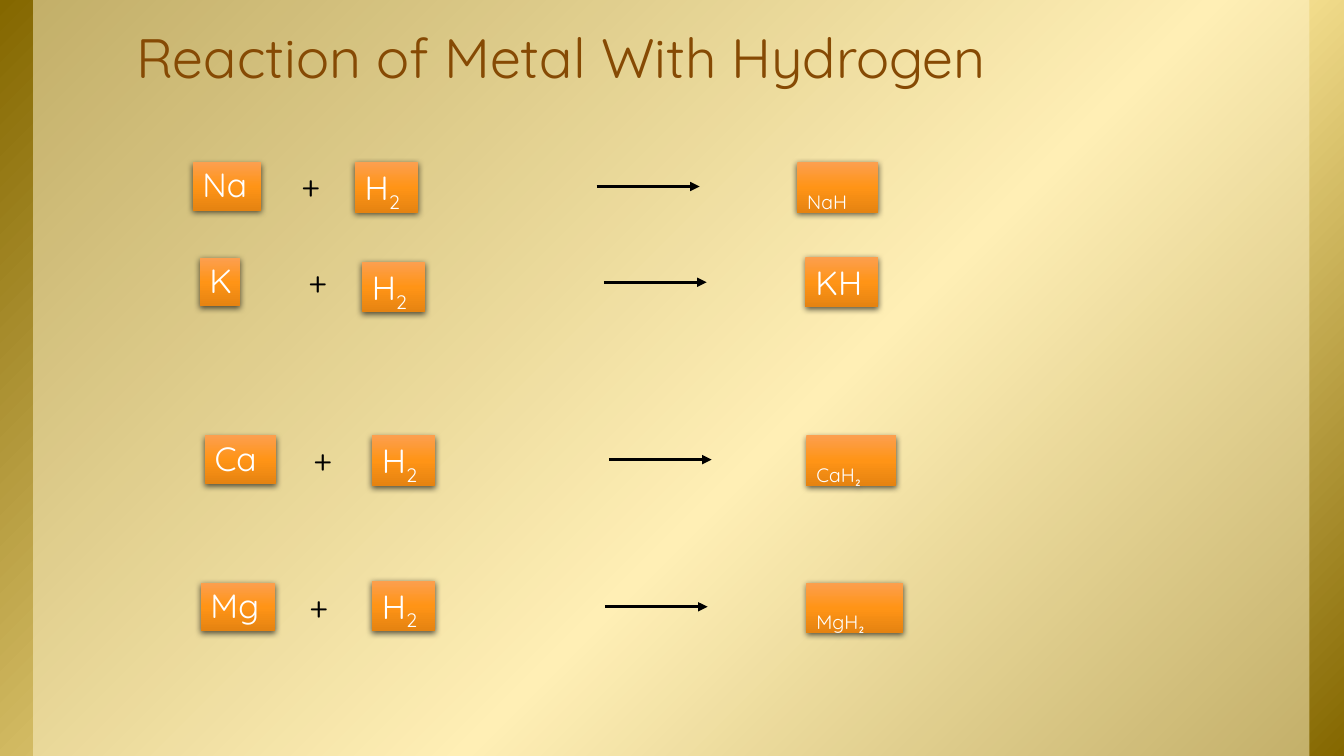
from dataclasses import dataclass

from lxml.etree import SubElement
from pptx import Presentation
from pptx.dml.color import RGBColor
from pptx.enum.shapes import MSO_CONNECTOR as Connector, MSO_SHAPE as Preset
from pptx.enum.text import MSO_ANCHOR as Anchor, MSO_AUTO_SIZE as AutoSize, PP_ALIGN as Align
from pptx.oxml.ns import qn
from pptx.util import Inches, Pt

BLACK = RGBColor(0x00, 0x00, 0x00)
WHITE = RGBColor(0xFF, 0xFF, 0xFF)
BROWN = RGBColor(0x86, 0x4A, 0x04)
CREAM = RGBColor(0xFF, 0xF4, 0xCE)
DARK_GOLD = RGBColor(0x84, 0x67, 0x00)
PALE_GOLD = RGBColor(0xFF, 0xEA, 0x9C)
LIGHT_ORANGE = RGBColor(0xFC, 0x9F, 0x4F)
ORANGE = RGBColor(0xFF, 0x94, 0x16)
DEEP_ORANGE = RGBColor(0xE5, 0x83, 0x11)

FONT = "Quicksand"
CELL = 0.1  # inches per grid column and row
COLUMNS, ROWS = 133.33, 75
BACKDROP_STOPS = ((0, DARK_GOLD), (58, PALE_GOLD), (100, DARK_GOLD))
TILE_STOPS = ((0, LIGHT_ORANGE), (50, ORANGE), (100, DEEP_ORANGE))
SUBSCRIPT = "-25000"

METAL_HEIGHT, TILE_HEIGHT = 4.8, 5
PLUS_OFFSET, PLUS_WIDTH = 9.8, 4.1
ARROW_OFFSET, ARROW_LENGTH = 40.1, 10.2
HYDROGEN_WIDTH = 6.3


@dataclass(frozen=True)
class Part:
    text: str
    lowered: bool = False


@dataclass(frozen=True)
class Box:
    """Place on the grid, in columns and rows."""
    left: float
    top: float
    width: float
    height: float

    def lengths(self) -> list:
        return [Inches(cells * CELL) for cells in (self.left, self.top, self.width, self.height)]


@dataclass(frozen=True)
class Reaction:
    metal: Part
    metal_box: Box
    hydrogen_box: Box
    product: Part
    product_box: Box


HYDROGEN = (Part("H"), Part("2", lowered=True))
REACTIONS = (
    Reaction(Part("Na"), Box(19.1, 16.1, 6.8, METAL_HEIGHT),
             Box(35.2, 16.1, HYDROGEN_WIDTH, TILE_HEIGHT),
             Part("NaH", lowered=True), Box(79.1, 16.1, 8, TILE_HEIGHT)),
    Reaction(Part("K"), Box(19.8, 25.6, 4, METAL_HEIGHT),
             Box(35.9, 26, HYDROGEN_WIDTH, TILE_HEIGHT),
             Part("KH"), Box(79.9, 25.5, 7.2, TILE_HEIGHT)),
    Reaction(Part("Ca"), Box(20.3, 43.2, 7.1, METAL_HEIGHT),
             Box(36.9, 43.2, HYDROGEN_WIDTH, TILE_HEIGHT),
             Part("CaH₂", lowered=True), Box(80, 43.2, 8.9, TILE_HEIGHT)),
    Reaction(Part("Mg"), Box(19.9, 57.8, 7.4, METAL_HEIGHT),
             Box(36.9, 57.6, HYDROGEN_WIDTH, TILE_HEIGHT),
             Part("MgH₂", lowered=True), Box(80, 57.8, 9.6, TILE_HEIGHT)),
)


def apply_format(target, values: dict) -> None:
    for name, value in values.items():
        setattr(target, name, value)


def add_color(parent, color: RGBColor, alpha: int = 100) -> None:
    element = SubElement(parent, qn("a:srgbClr"), val=str(color))
    if alpha < 100:
        SubElement(element, qn("a:alpha"), val=str(alpha * 1000))


def fill_gradient(shape, stops: tuple, angle: int) -> None:
    """Replace the default two stops by the given ones; the angle runs clockwise."""
    shape.fill.gradient()
    gradient = shape._element.spPr.find(qn("a:gradFill"))
    for child in list(gradient):
        gradient.remove(child)
    stop_list = SubElement(gradient, qn("a:gsLst"))
    for position, color in stops:
        add_color(SubElement(stop_list, qn("a:gs"), pos=str(position * 1000)), color)
    SubElement(gradient, qn("a:lin"), ang=str(angle * 60000), scaled="0")


def add_rectangle(slide, box: Box):
    shape = slide.shapes.add_shape(Preset.RECTANGLE, *box.lengths())
    shape.shadow.inherit = False
    shape.line.fill.background()
    return shape


def add_backdrop(slide) -> None:
    """Gold field with a half-clear cream panel, both behind the title."""
    field = add_rectangle(slide, Box(0, 0, COLUMNS, ROWS))
    fill_gradient(field, BACKDROP_STOPS, 45)
    panel = add_rectangle(slide, Box(3.3, 0, 126.6, ROWS))
    panel.fill.solid()
    panel.fill.fore_color.rgb = CREAM
    color = panel._element.spPr.find(qn("a:solidFill"))[0]
    SubElement(color, qn("a:alpha"), val="50000")
    for position, shape in enumerate((field, panel), start=2):
        slide.shapes._spTree.insert(position, shape._element)


def add_title(slide, text: str) -> None:
    title = slide.shapes.title
    title.text = text
    apply_format(title, dict(zip(("left", "top", "width", "height"),
                                 Box(12.2, 0.8, 111.1, 15.3).lengths())))
    apply_format(title.text_frame, {
        "vertical_anchor": Anchor.BOTTOM, "word_wrap": True, "auto_size": AutoSize.NONE,
        "margin_left": Inches(0.13), "margin_right": Inches(0.13),
        "margin_top": Inches(0.07), "margin_bottom": Inches(0.72)})
    paragraph = title.text_frame.paragraphs[0]
    apply_format(paragraph, {"alignment": Align.LEFT, "line_spacing": 0.85})
    apply_format(paragraph.runs[0].font, {"name": FONT, "size": Pt(39.6)})
    paragraph.runs[0].font.color.rgb = BROWN


def write_parts(shape, parts: tuple, color: RGBColor, wrap: bool) -> None:
    frame = shape.text_frame
    apply_format(frame, {"word_wrap": wrap, "auto_size": AutoSize.SHAPE_TO_FIT_TEXT,
                         "vertical_anchor": Anchor.TOP})
    paragraph = frame.paragraphs[0]
    apply_format(paragraph, {"alignment": Align.LEFT, "line_spacing": 1.0 if wrap else 0.95})
    for part in parts:
        run = paragraph.add_run()
        run.text = part.text
        apply_format(run.font, {"name": FONT, "size": Pt(24)})
        run.font.color.rgb = color
        if part.lowered:
            run.font._element.set("baseline", SUBSCRIPT)


def add_tile(slide, box: Box, parts: tuple, wrap: bool = True) -> None:
    tile = add_rectangle(slide, box)
    fill_gradient(tile, TILE_STOPS, 90)
    effects = tile._element.spPr.find(qn("a:effectLst"))
    shadow = SubElement(effects, qn("a:outerShdw"), blurRad=str(Pt(4.5)), dist=str(Pt(1.5)),
                        dir="5400000", algn="ctr", rotWithShape="0")
    add_color(shadow, BLACK, 63)
    write_parts(tile, parts, WHITE, wrap)


def add_arrow(slide, left: float, middle: float) -> None:
    start, height, length, _ = Box(left, middle, ARROW_LENGTH, 0).lengths()
    arrow = slide.shapes.add_connector(Connector.STRAIGHT, start, height, start + length, height)
    arrow.line.color.rgb = BLACK
    arrow.line.width = Pt(2.25)
    SubElement(arrow.line._get_or_add_ln(), qn("a:tailEnd"), type="triangle")
    SubElement(arrow._element.spPr, qn("a:effectLst"))


def add_reaction(slide, reaction: Reaction) -> None:
    metal = reaction.metal_box
    add_tile(slide, metal, (reaction.metal,), wrap=False)
    plus_box = Box(metal.left + PLUS_OFFSET, metal.top, PLUS_WIDTH, METAL_HEIGHT)
    plus = slide.shapes.add_textbox(*plus_box.lengths())
    write_parts(plus, (Part("+"),), BLACK, wrap=False)
    add_arrow(slide, metal.left + ARROW_OFFSET, metal.top + METAL_HEIGHT / 2)
    add_tile(slide, reaction.product_box, (reaction.product,))
    add_tile(slide, reaction.hydrogen_box, HYDROGEN)


def main() -> None:
    presentation = Presentation()
    presentation.slide_width = Inches(COLUMNS * CELL)
    presentation.slide_height = Inches(ROWS * CELL)
    slide = presentation.slides.add_slide(presentation.slide_layouts.get_by_name("Title Only"))
    add_backdrop(slide)
    add_title(slide, "Reaction of Metal With Hydrogen")
    for reaction in REACTIONS:
        add_reaction(slide, reaction)
    presentation.save("out.pptx")


if __name__ == "__main__":
    main()
